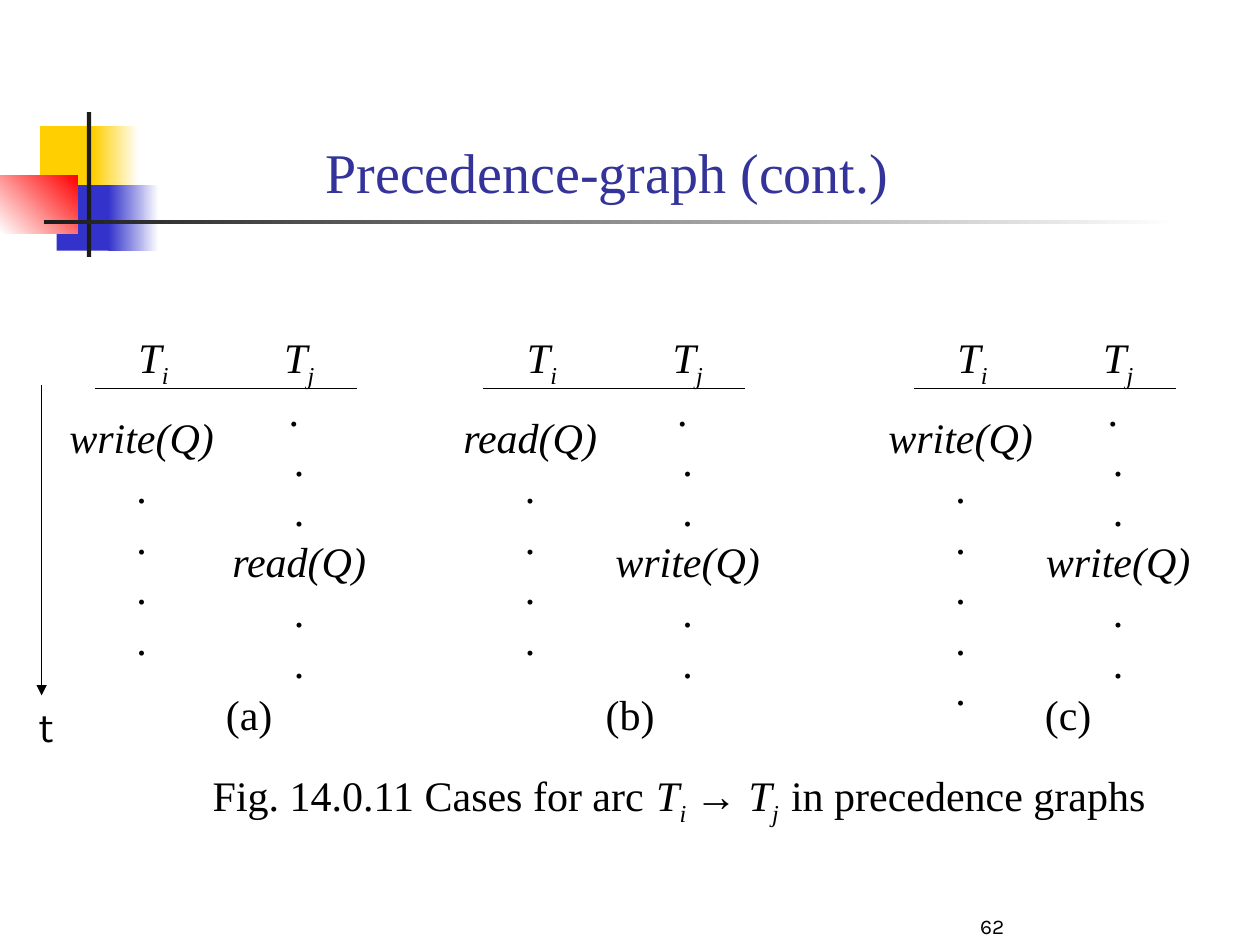
import pptx
import pptx.dml.color
import pptx.enum.shapes
import pptx.enum.text
import pptx.oxml
import pptx.oxml.ns
import pptx.util

Pt = pptx.util.Pt
ALIGN = pptx.enum.text.PP_ALIGN
ANCHOR = pptx.enum.text.MSO_ANCHOR
NAMESPACE = pptx.oxml.ns.nsdecls("a")

COLORS = {
    "black": "000000",
    "white": "FFFFFF",
    "title": "333399",
    "yellow": "FFCF01",
    "blue": "3333CC",
    "red": "FF0000",
    "charcoal": "1C1C1C",
}
SERIF = "Times New Roman"
SANS = "Karla"
SECOND_COLUMN_TAB = 83.3

# Left end of the rule, label, left of the label, first and second schedule
PANELS = [
    (54, "(a)", 122, ["write(Q)"] + ["."] * 4, "read(Q)"),
    (276, "(b)", 339, ["read(Q)"] + ["."] * 4, "write(Q)"),
    (522, "(c)", 590, ["write(Q)"] + ["."] * 5, "write(Q)"),
]


def rgb(name):
    return pptx.dml.color.RGBColor.from_string(COLORS[name])


def add_block(slide, left, top, width, height, color, end_color=None, angle=0):
    """Add a borderless rectangle, filled plainly or from color to end_color."""
    shape = slide.shapes.add_shape(
        pptx.enum.shapes.MSO_SHAPE.RECTANGLE, Pt(left), Pt(top), Pt(width), Pt(height)
    )
    shape.shadow.inherit = False
    shape.line.fill.background()
    if end_color is None:
        shape.fill.solid()
        shape.fill.fore_color.rgb = rgb(color)
        return
    shape.fill.gradient()
    shape.fill.gradient_angle = angle
    for stop, name in zip(shape.fill.gradient_stops, (color, end_color)):
        stop.color.rgb = rgb(name)


def add_line(slide, x1, y1, x2, y2, arrow=False):
    connector = slide.shapes.add_connector(
        pptx.enum.shapes.MSO_CONNECTOR.STRAIGHT, Pt(x1), Pt(y1), Pt(x2), Pt(y2)
    )
    connector.line.color.rgb = rgb("black")
    connector.line.width = Pt(0.75)
    if arrow:
        connector.line._get_or_add_ln().append(
            pptx.oxml.parse_xml(f'<a:tailEnd {NAMESPACE} type="triangle"/>')
        )
    connector._element.spPr.append(pptx.oxml.parse_xml(f"<a:effectLst {NAMESPACE}/>"))


def add_run(paragraph, text, size, font, color, italic=False, subscript=False):
    run = paragraph.add_run()
    run.text = text
    run.font.size = Pt(size)
    run.font.name = font
    run.font.italic = italic
    run.font.color.rgb = rgb(color)
    if subscript:
        run.font._element.set("baseline", "-25000")


def add_text(slide, paragraphs, left, top, width, height, *, size=24, font=SERIF,
             color="black", align=ALIGN.LEFT, anchor=ANCHOR.TOP,
             line_height=None, tab=None):
    """Add a text box; each paragraph is a list of (text, run format) pairs."""
    box = slide.shapes.add_textbox(Pt(left), Pt(top), Pt(width), Pt(height))
    frame = box.text_frame
    frame.word_wrap = True
    frame.vertical_anchor = anchor
    for index, runs in enumerate(paragraphs):
        paragraph = frame.paragraphs[0] if index == 0 else frame.add_paragraph()
        paragraph.alignment = align
        if line_height:
            paragraph.line_spacing = Pt(line_height)
        if tab:
            paragraph._p.get_or_add_pPr().append(pptx.oxml.parse_xml(
                f'<a:tabLst {NAMESPACE}><a:tab pos="{Pt(tab)}" algn="l"/></a:tabLst>'
            ))
        for text, run_format in runs:
            add_run(paragraph, text, **{"size": size, "font": font, "color": color, **run_format})


def transaction(index, prefix=""):
    """Return the runs of an italic T with its index."""
    return [(prefix + "T", {"italic": True}), (index, {"italic": True, "subscript": True})]


def add_schedule(slide, steps, left, top, height):
    """Add one column of operations and dots."""
    paragraphs = [[(step, {"italic": "Q" in step})] for step in steps]
    add_text(slide, paragraphs, left, top, 102, height, align=ALIGN.CENTER, line_height=28.8)


def add_panel(slide, left, label, label_left, first_steps, second_operation):
    header = transaction("i") + transaction("j", prefix="\t")
    add_text(slide, [header], left + 18, 188.7, 132, 40, line_height=30, tab=SECOND_COLUMN_TAB)
    add_line(slide, left, 222, left + 150, 222)
    add_schedule(slide, first_steps, left - 24, 231.6, 7.2 + 28.8 * len(first_steps))
    second_steps = [". ", ".", ".", second_operation, ".", "."]
    add_schedule(slide, second_steps, left + 66, 216, 180)
    add_text(slide, [[(label, {})]], label_left, 390, 54, 36, line_height=28.8)


def add_ornament(slide):
    add_block(slide, 23, 72, 34.6, 37.4, "yellow")
    add_block(slide, 53.3, 72, 26, 37.4, "yellow", "white")
    add_block(slide, 32.4, 105.8, 33.1, 37.4, "blue")
    add_block(slide, 62, 105.8, 28.8, 37.4, "blue", "white")
    add_block(slide, 0, 100, 44.3, 33.2, "white", "red", angle=45)
    add_block(slide, 49.7, 64, 2.5, 82.8, "charcoal")
    add_block(slide, 25.2, 125.8, 648, 2.5, "charcoal", "white")


def main():
    presentation = pptx.Presentation()
    presentation.slide_width = Pt(720)
    presentation.slide_height = Pt(540)
    slide = presentation.slides.add_slide(presentation.slide_layouts[6])

    add_ornament(slide)
    for panel in PANELS:
        add_panel(slide, *panel)

    caption = [
        ("Fig. 14.0.11 Cases for arc", {}),
        (" ", {"size": 28}),
        *transaction("i"),
        (" ", {"size": 20, "italic": True}),
        ("→ ", {"font": "Arial", "italic": True}),
        *transaction("j"),
        (" ", {"size": 28}),
        ("in precedence graphs", {}),
    ]
    add_text(slide, [caption], 114.5, 433, 576, 44, line_height=36)
    add_text(slide, [[("Precedence-graph (cont.) ", {})]], 87, 24.5, 528, 96, size=32,
             color="title", align=ALIGN.CENTER, anchor=ANCHOR.BOTTOM)
    add_line(slide, 23.8, 220.3, 23.8, 397.4, arrow=True)
    add_text(slide, [[("t", {})]], 15, 396.7, 30, 36, font=SANS)
    add_text(slide, [[("62", {})]], 492, 504, 150, 36, size=12, font=SANS,
             align=ALIGN.CENTER, anchor=ANCHOR.BOTTOM)

    presentation.save("out.pptx")


if __name__ == "__main__":
    main()
